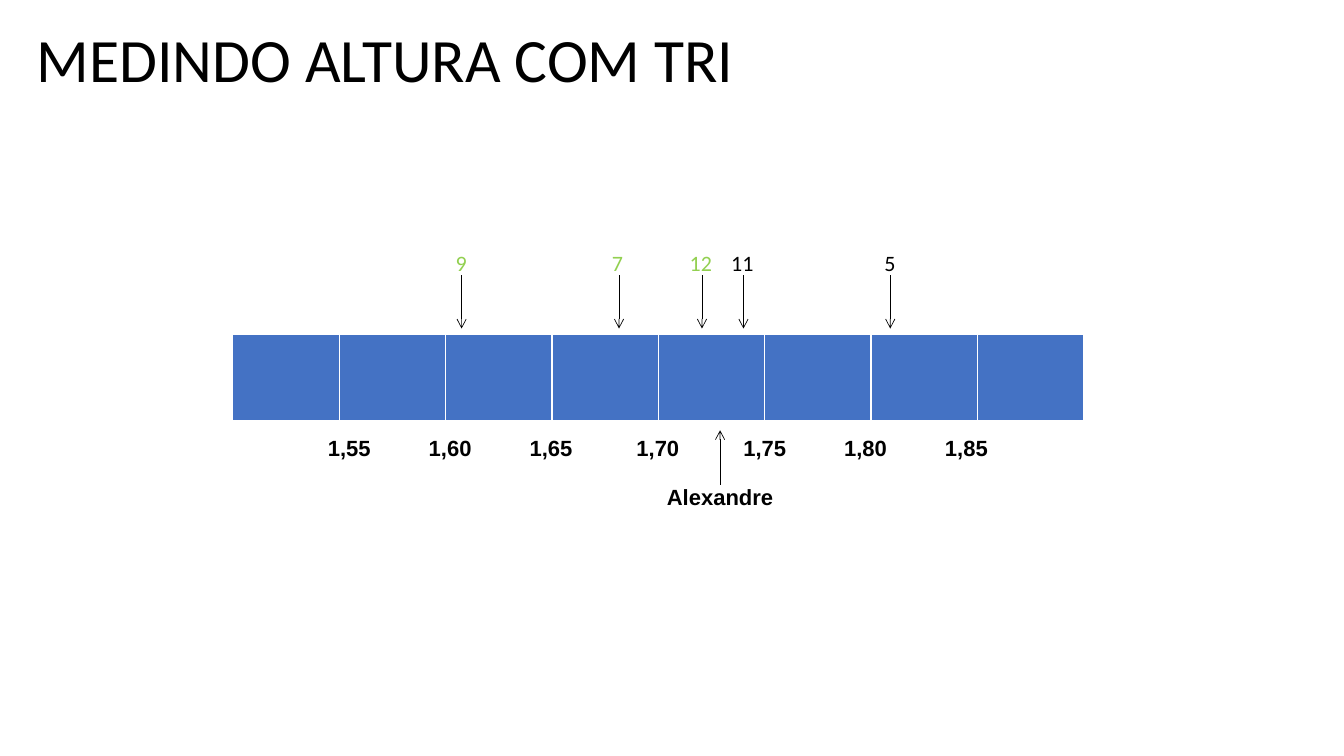
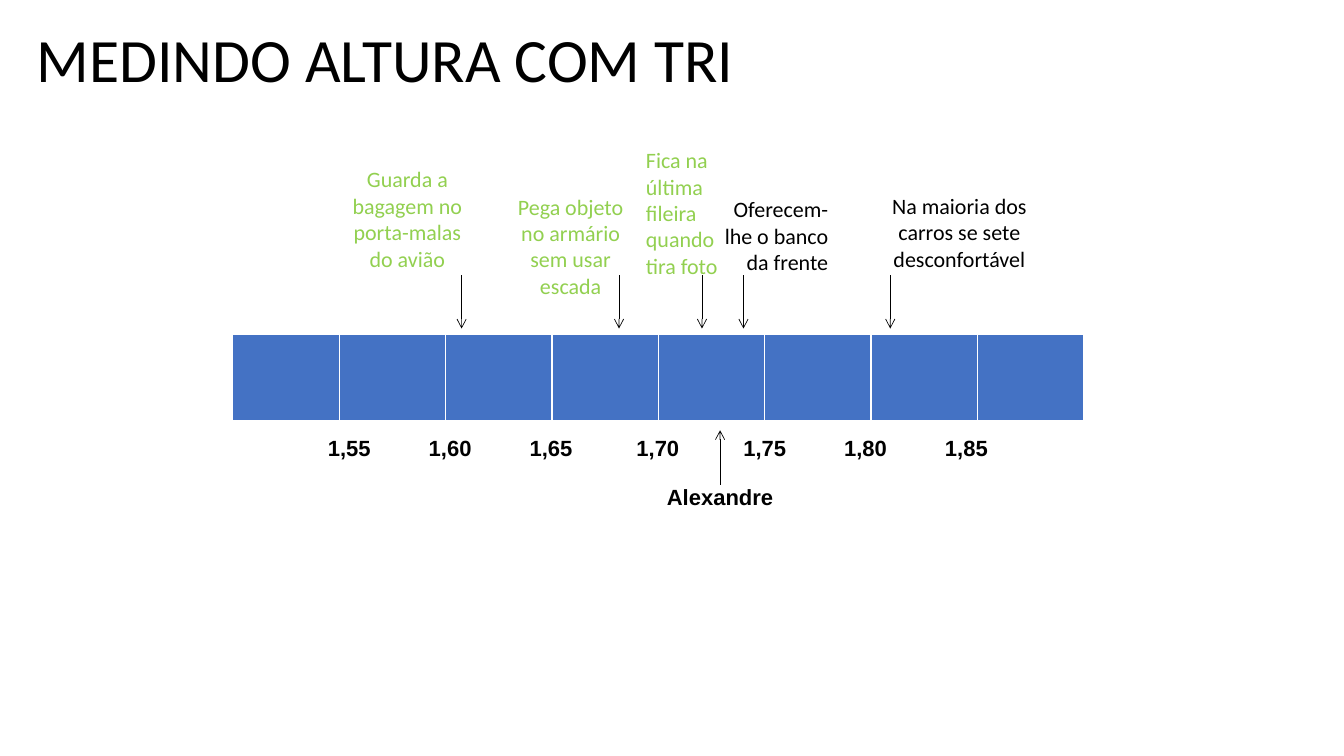
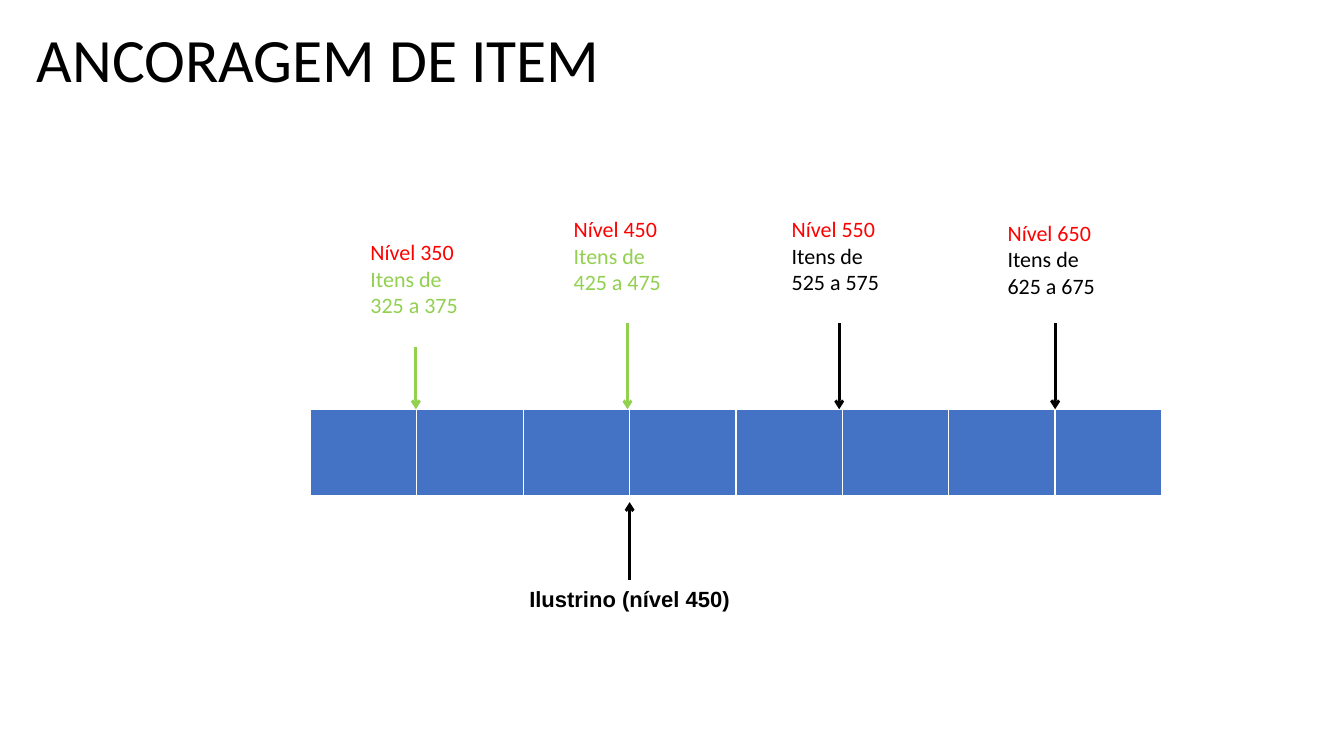
from dataclasses import dataclass

from lxml import etree
from pptx import Presentation
from pptx.dml.color import RGBColor
from pptx.enum.shapes import MSO_CONNECTOR
from pptx.enum.text import MSO_ANCHOR, PP_ALIGN
from pptx.oxml.ns import qn
from pptx.util import Emu, Inches, Pt

STRAIGHT = MSO_CONNECTOR.STRAIGHT
MIDDLE, TOP = MSO_ANCHOR.MIDDLE, MSO_ANCHOR.TOP
LEFT, CENTER, RIGHT = PP_ALIGN.LEFT, PP_ALIGN.CENTER, PP_ALIGN.RIGHT

COLORS = {
    "black": "000000",
    "white": "FFFFFF",
    "green": "92D050",
    "red": "FF0000",
    "bar": "4472C4",
}
SLIDE_W, SLIDE_H = 13.33, 7.5
COLS, COL_W, ROW_H = 8, 1.055, 0.87
TEXT_SIZE, TITLE_SIZE = 15.7, 44
LINE_H, PADDING = 0.264, 0.1
BORDERS = {"a:lnL": 1, "a:lnR": 1, "a:lnT": 1, "a:lnB": 3}
SCALE = ("1,55", "1,60", "1,65", "1,70", "1,75", "1,80", "1,85")
SCALE_TABS = (1, 2, 3.06, 4.12, 5.12, 6.12)


@dataclass(frozen=True)
class Bar:
    left: float
    top: float

    def x(self, col: float) -> Emu:
        return Inches(self.left + col * COL_W)

    def y(self, row: float) -> Emu:
        return Inches(self.top + row * ROW_H)


@dataclass(frozen=True)
class Piece:
    text: str
    color: str = "black"


@dataclass(frozen=True)
class Label:
    pieces: tuple[Piece, ...]
    col: float
    row: float
    cols: float
    lines: int = 1
    align: PP_ALIGN = CENTER
    wrap: bool = True
    font: str = "Calibri"
    bold: bool = False


@dataclass(frozen=True)
class Arrow:
    col: float
    start: float
    end: float
    color: str = "black"
    width: float = 0.5


def rgb(name: str) -> RGBColor:
    return RGBColor.from_string(COLORS[name])


def add_run(p, text: str, size: float, color: str, font: str, bold: bool = False) -> None:
    r = p.add_run()
    r.text = text
    r.font.size = Pt(size)
    r.font.name = font
    r.font.bold = bold
    r.font.color.rgb = rgb(color)


def add_box(s, x: Emu, y: Emu, w: Emu, h: Emu, wrap: bool = True, anchor: MSO_ANCHOR = TOP):
    tf = s.shapes.add_textbox(x, y, w, h).text_frame
    tf.word_wrap = wrap
    tf.vertical_anchor = anchor
    return tf


def add_title(s, text: str) -> None:
    tf = add_box(s, Inches(0.02 * SLIDE_W), Inches(0.03 * SLIDE_H),
                 Inches(0.96 * SLIDE_W), Inches(0.79), anchor=MIDDLE)
    p = tf.paragraphs[0]
    p.line_spacing = 0.9
    add_run(p, text, TITLE_SIZE, "black", "Calibri")


def add_label(s, bar: Bar, label: Label) -> None:
    tf = add_box(s, bar.x(label.col), bar.y(label.row), Inches(label.cols * COL_W),
                 Inches(PADDING + LINE_H * label.lines), label.wrap)
    for i, piece in enumerate(label.pieces):
        p = tf.add_paragraph() if i else tf.paragraphs[0]
        p.alignment = label.align
        add_run(p, piece.text, TEXT_SIZE, piece.color, label.font, label.bold)


def add_arrow(s, bar: Bar, arrow: Arrow) -> None:
    x = bar.x(arrow.col)
    sp = s.shapes.add_connector(STRAIGHT, x, bar.y(arrow.start), x, bar.y(arrow.end))
    sp.line.width = Pt(arrow.width)
    sp.line.color.rgb = rgb(arrow.color)
    etree.SubElement(sp.line._get_or_add_ln(), qn("a:tailEnd"), type="arrow")
    etree.SubElement(sp._element.spPr, qn("a:effectLst"))


def add_bar(s, bar: Bar) -> None:
    table = s.shapes.add_table(1, COLS, bar.x(0), bar.y(0),
                               Inches(COLS * COL_W), Inches(ROW_H)).table
    for col in table.columns:
        col.width = Inches(COL_W)
    for cell in table.iter_cells():
        cell.fill.solid()
        cell.fill.fore_color.rgb = rgb("bar")
        tc_pr = cell._tc.get_or_add_tcPr()
        for i, (tag, width) in enumerate(BORDERS.items()):
            ln = etree.Element(qn(tag), w=str(Pt(width)))
            fill = etree.SubElement(ln, qn("a:solidFill"))
            etree.SubElement(fill, qn("a:srgbClr"), val=COLORS["white"])
            tc_pr.insert(i, ln)


def add_scale(s, bar: Bar) -> None:
    tf = add_box(s, bar.x(0.8), bar.y(1.08), Inches(6.81), Inches(PADDING + LINE_H))
    p = tf.paragraphs[0]
    tabs = etree.SubElement(p._p.get_or_add_pPr(), qn("a:tabLst"))
    for pos in SCALE_TABS:
        etree.SubElement(tabs, qn("a:tab"), pos=str(Inches(pos)), algn="l")
    add_run(p, "\t".join(SCALE), TEXT_SIZE, "black", "Arial", True)


def add_slide(prs, title: str, bar: Bar, labels: list[Label], arrows: list[Arrow],
              scale: bool = False) -> None:
    s = prs.slides.add_slide(prs.slide_layouts[6])
    add_title(s, title)
    if scale:
        add_scale(s, bar)
    add_bar(s, bar)
    for label in labels:
        add_label(s, bar, label)
    for arrow in arrows:
        add_arrow(s, bar, arrow)


def person(name: str, col: float, row: float, cols: float) -> Label:
    return Label((Piece(name),), col, row, cols, font="Arial", bold=True)


def count(text: str, col: float, cols: float, color: str) -> Label:
    return Label((Piece(text, color),), col, -1.03, cols, wrap=False)


def phrase(text: str, col: float, row: float, cols: float, lines: int, color: str,
           align: PP_ALIGN = CENTER) -> Label:
    return Label((Piece(text, color),), col, row, cols, lines, align)


def level(value: int, col: float, row: float, cols: float, color: str) -> Label:
    pieces = (Piece(f"Nível {value}", "red"),
              Piece(f"Itens de {value - 25} a {value + 25}", color))
    return Label(pieces, col, row, cols, 3, LEFT)


HEIGHT_TITLE = "MEDINDO ALTURA COM TRI"
HEIGHT_BAR = Bar(2.31, 3.32)
LEVEL_BAR = Bar(3.08, 4.06)
ALEXANDRE = person("Alexandre", 3.98, 1.64, 1.2)
HEIGHT_ARROWS = [Arrow(col, -0.68, -0.07) for col in (2.15, 3.63, 4.41, 4.8, 6.18)]
HEIGHT_ARROWS.append(Arrow(4.58, 1.71, 1.09))

COUNTS = [
    count("9", 2, 0.29, "green"),
    count("7", 3.47, 0.29, "green"),
    count("12", 4.2, 0.4, "green"),
    count("11", 4.59, 0.4, "black"),
    count("5", 6.03, 0.29, "black"),
]
PHRASES = [
    phrase("Guarda a bagagem no porta-malas do avião", 0.98, -1.98, 1.32, 4, "green"),
    phrase("Pega objeto no armário sem usar escada", 2.49, -1.67, 1.37, 4, "green"),
    phrase("Fica na última fileira quando tira foto", 3.79, -2.2, 1, 5, "green", LEFT),
    phrase("Oferecem-lhe o banco da frente", 4.5, -1.64, 1.19, 3, "black", RIGHT),
    phrase("Na maioria dos carros se sete desconfortável", 6.03, -1.68, 1.6, 3, "black"),
]
LEVELS = [
    level(350, 0.47, -2, 1.1, "green"),
    level(450, 2.38, -2.26, 1.14, "green"),
    level(550, 4.43, -2.26, 1.12, "black"),
    level(650, 6.46, -2.22, 1.03, "black"),
    person("Ilustrino (nível 450)", 1.17, 1.95, 3.66),
]
LEVEL_ARROWS = [
    Arrow(0.99, -0.71, 0, "green", 2),
    Arrow(2.98, -0.98, 0, "green", 2),
    Arrow(4.97, -0.98, 0, "black", 2),
    Arrow(7, -0.98, 0, "black", 2),
    Arrow(3, 1.95, 1.06, "black", 2),
]


def main() -> None:
    prs = Presentation()
    prs.slide_width, prs.slide_height = Inches(SLIDE_W), Inches(SLIDE_H)
    for labels in (COUNTS, PHRASES):
        add_slide(prs, HEIGHT_TITLE, HEIGHT_BAR, [*labels, ALEXANDRE], HEIGHT_ARROWS, True)
    add_slide(prs, "ANCORAGEM DE ITEM", LEVEL_BAR, LEVELS, LEVEL_ARROWS)
    prs.save("out.pptx")


if __name__ == "__main__":
    main()
